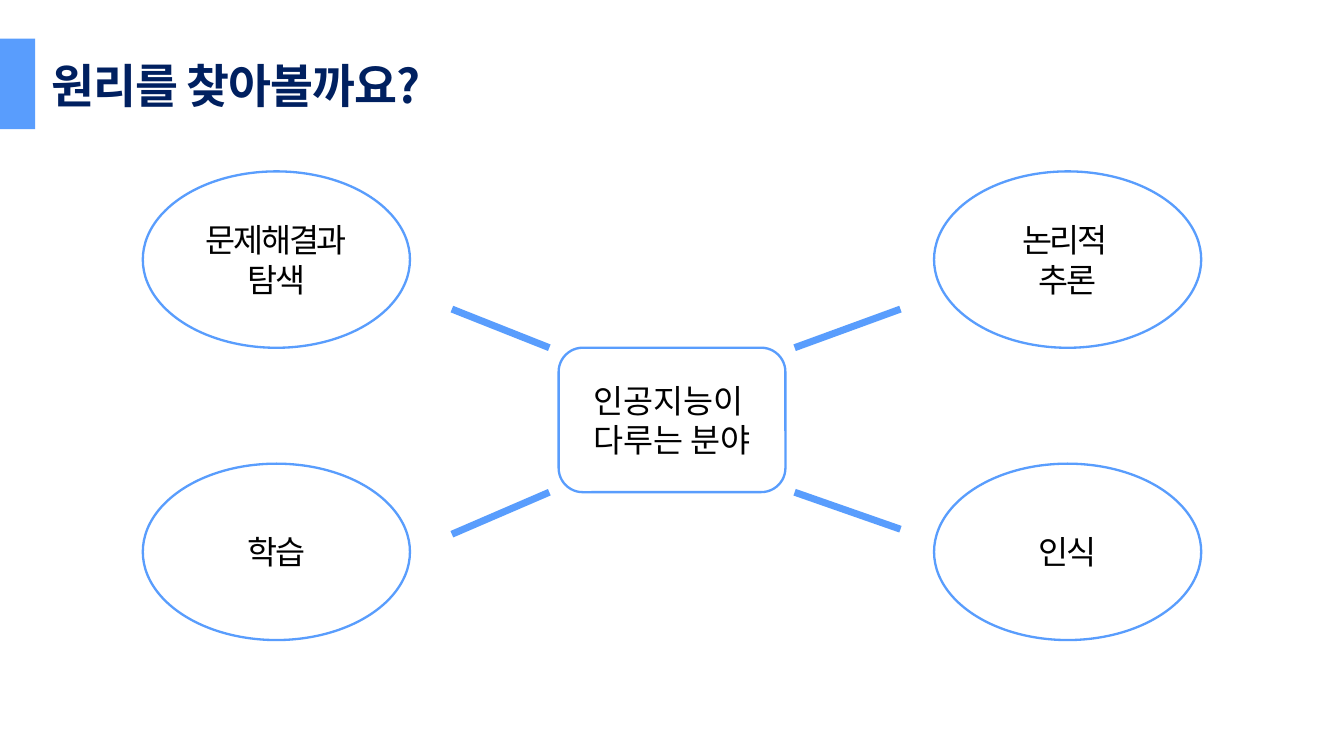
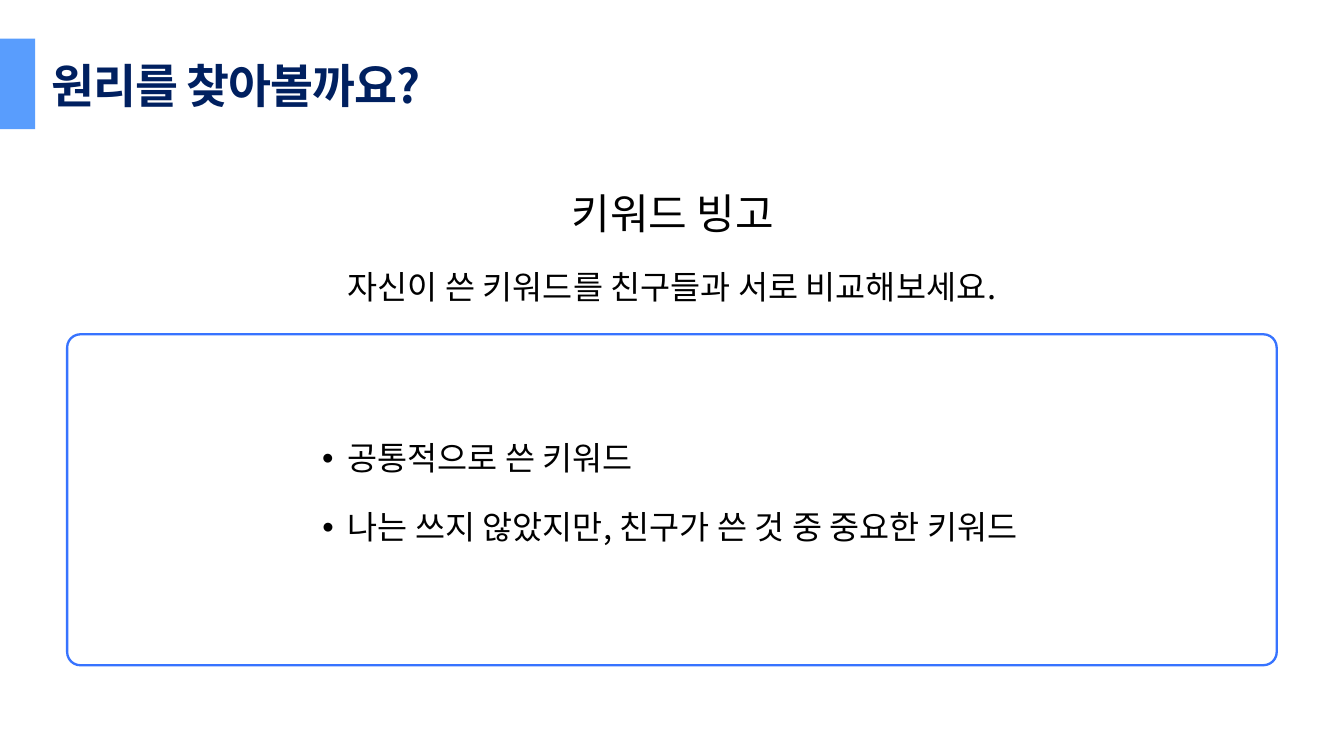
from lxml.etree import SubElement
from pptx import Presentation
from pptx.dml.color import RGBColor
from pptx.enum.shapes import MSO_CONNECTOR, MSO_SHAPE
from pptx.enum.text import MSO_ANCHOR, MSO_AUTO_SIZE, PP_ALIGN
from pptx.oxml.ns import qn
from pptx.util import Inches, Pt

FONT = "Noto Sans CJK KR"
SKY, BLUE, NAVY, BLACK = "599DFD", "3773FF", "002060", "000000"
WIDTH, HEIGHT = 8, 4.5
color = RGBColor.from_string


def add_text(box, lines, size=14, ink=BLACK, align=PP_ALIGN.CENTER, bold=False, spacing=0, bullet=None):
    frame = box.text_frame
    frame.word_wrap = True
    frame.text = "\n".join(lines)
    for para in frame.paragraphs:
        para.alignment = align
        props = para._p.get_or_add_pPr()
        if bullet:
            props.set("marL", str(Inches(0.15)))
            props.set("indent", str(-Inches(0.15)))
            SubElement(props, qn("a:buFont")).set("typeface", "Arial")
            SubElement(props, qn("a:buChar")).set("char", bullet)
        para.font.size = Pt(size)
        para.font.bold = bold
        para.font.color.rgb = color(ink)
        para.font.name = FONT
        defaults = props.find(qn("a:defRPr"))
        defaults.set("spc", str(int(spacing * 100)))
        SubElement(defaults, qn("a:ea")).set("typeface", FONT)


def add_outline(page, kind, left, top, width, height, line=SKY):
    shape = page.shapes.add_shape(kind, Inches(left), Inches(top), Inches(width), Inches(height))
    shape.shadow.inherit = False
    shape.fill.background()
    shape.line.color.rgb = color(line)
    shape.line.width = Pt(1)
    shape.text_frame.vertical_anchor = MSO_ANCHOR.MIDDLE
    return shape


deck = Presentation()
deck.slide_width, deck.slide_height = Inches(WIDTH), Inches(HEIGHT)
fields_page, bingo_page = [deck.slides.add_slide(deck.slide_layouts[6]) for _ in range(2)]

for page in (fields_page, bingo_page):
    title = page.shapes.add_textbox(Inches(0.21), Inches(0.29), Inches(3.03), Inches(0.44))
    title.text_frame.auto_size = MSO_AUTO_SIZE.SHAPE_TO_FIT_TEXT
    add_text(title, ["원리를 찾아볼까요?"], 20, NAVY, PP_ALIGN.LEFT, True, -0.5)
    tab = add_outline(page, MSO_SHAPE.RECTANGLE, 0, 0.23, 0.21, 0.54)
    tab.fill.solid()
    tab.fill.fore_color.rgb = color(SKY)
    tab.line.fill.background()

hub_width, hub_height = 1.35, 0.86
hub = add_outline(fields_page, MSO_SHAPE.ROUNDED_RECTANGLE,
                  (WIDTH - hub_width) / 2, 2.07, hub_width, hub_height)
add_text(hub, ["인공지능이 ", "다루는 분야"])

oval_width, oval_height = 1.59, 1.05
columns, rows = (0.85, WIDTH - 0.85 - oval_width), (1.02, 2.76)
fields = [[["문제해결과", "탐색"], ["논리적 ", "추론"]],
          [["학습"], ["인식"]]]
for top, row in zip(rows, fields):
    for left, lines in zip(columns, row):
        oval = add_outline(fields_page, MSO_SHAPE.OVAL, left, top, oval_width, oval_height)
        add_text(oval, lines, spacing=-1)

spokes = [(3.27, 2.07, 2.69, 1.84), (4.73, 2.07, 5.36, 1.84),
          (3.27, 2.93, 2.69, 3.18), (4.73, 2.93, 5.36, 3.15)]
for ends in spokes:
    spoke = fields_page.shapes.add_connector(MSO_CONNECTOR.STRAIGHT, *map(Inches, ends))
    spoke.line.color.rgb = color(SKY)
    spoke.line.width = Pt(3)
    SubElement(spoke._element.spPr, qn("a:effectLst"))

frame_left = 0.05 * WIDTH
frame = add_outline(bingo_page, MSO_SHAPE.ROUNDED_RECTANGLE,
                    frame_left, 1.99, WIDTH - 2 * frame_left, 1.97, BLUE)
frame.adjustments[0] = 0.04

bingo_texts = [
    ("키워드 빙고", 3.19, 1.07, 1.63, 0.4, 18, None),
    ("자신이 쓴 키워드를 친구들과 서로 비교해보세요.", 1.16, 1.54, 5.68, 0.34, 14, None),
    ("공통적으로 쓴 키워드", 1.82, 2.56, 3.7, 0.34, 14, "•"),
    ("나는 쓰지 않았지만, 친구가 쓴 것 중 중요한 키워드", 1.82, 2.97, 5.01, 0.34, 14, "•"),
]
for words, left, top, width, height, size, bullet in bingo_texts:
    box = bingo_page.shapes.add_textbox(Inches(left), Inches(top), Inches(width), Inches(height))
    box.text_frame.auto_size = MSO_AUTO_SIZE.SHAPE_TO_FIT_TEXT
    align = PP_ALIGN.LEFT if bullet else PP_ALIGN.CENTER
    add_text(box, [words], size, align=align, bullet=bullet)

deck.save("out.pptx")
